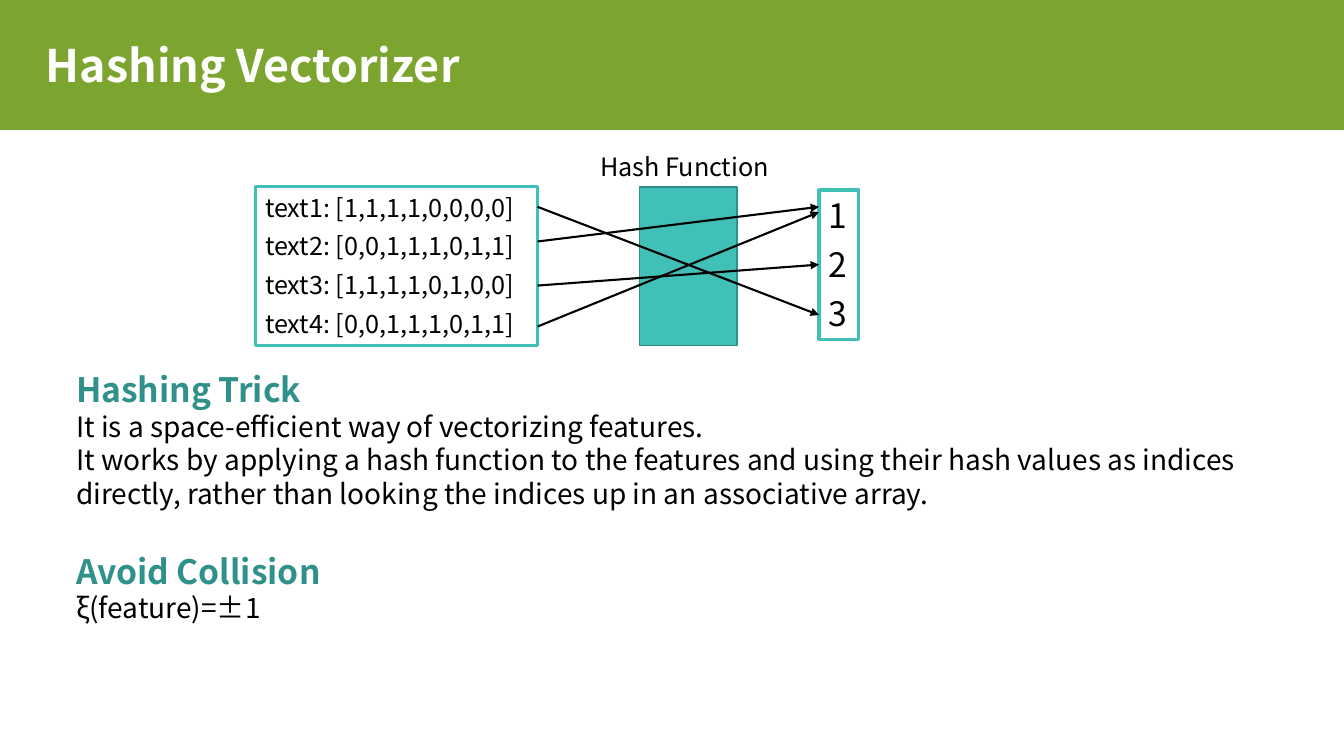
from lxml.etree import SubElement
from pptx import Presentation
from pptx.dml.color import RGBColor
from pptx.enum.shapes import MSO_CONNECTOR, MSO_SHAPE
from pptx.enum.text import MSO_ANCHOR, PP_ALIGN
from pptx.oxml.ns import qn
from pptx.util import Pt

PX = 9525  # 96 px to the inch
FONT = "Noto Sans CJK SC"
GREEN = RGBColor(0x7B, 0xA5, 0x2F)
WHITE = RGBColor(0xFF, 0xFF, 0xFF)
BLACK = RGBColor(0, 0, 0)
TEAL = RGBColor(0x41, 0xC0, 0xB8)
EDGE = RGBColor(0x30, 0x8E, 0x88)
HEAD = RGBColor(0x30, 0x91, 0x8B)

TEXTS = [
    "text1: [1,1,1,1,0,0,0,0]",
    "text2: [0,0,1,1,1,0,1,1]",
    "text3: [1,1,1,1,0,1,0,0]",
    "text4: [0,0,1,1,1,0,1,1]",
]
HASHES = ["1", "2", "3"]
# height where each arrow leaves its text and meets its hash
ARROWS = [(197, 300), (311, 202), (230, 197), (272, 252)]
TRICK = [
    "It is a space-efficient way of vectorizing\u00a0features.",
    "It works by applying a\u00a0hash function\u00a0to the features and using "
    "their hash values as indices directly, rather than looking the indices "
    "up in an\u00a0associative array.",
]


def emu(*sizes):
    return [size * PX for size in sizes]


def style(para, size, color=BLACK, bold=False, before=0, lines=1.0):
    font = para.font
    font.name, font.size, font.bold = FONT, Pt(size), bold
    font.color.rgb = color
    para.alignment = PP_ALIGN.LEFT
    para.space_before = Pt(before)
    para.line_spacing = lines


def write(frame, texts, size, **looks):
    """Append one paragraph per text, reusing an empty first one."""
    frame.word_wrap = True
    for text in texts:
        para = frame.add_paragraph() if frame.text else frame.paragraphs[0]
        para.text = text
        style(para, size, **looks)


def add_box(slide, place, fill, line=None, width=0):
    box = slide.shapes.add_shape(MSO_SHAPE.RECTANGLE, *emu(*place))
    box.shadow.inherit = False
    box.fill.solid()
    box.fill.fore_color.rgb = fill
    if line is None:
        box.line.fill.background()
    else:
        box.line.color.rgb = line
        box.line.width = Pt(width)
    box.text_frame.vertical_anchor = MSO_ANCHOR.TOP
    return box


def add_text(slide, place):
    return slide.shapes.add_textbox(*emu(*place)).text_frame


def add_list(slide, place, texts, size):
    box = add_box(slide, place, WHITE, TEAL, 2.25)
    write(box.text_frame, texts, size, before=6)


def add_arrow(slide, *ends):
    arrow = slide.shapes.add_connector(MSO_CONNECTOR.STRAIGHT, *emu(*ends))
    arrow.line.color.rgb = BLACK
    arrow.line.width = Pt(1.5)
    SubElement(arrow.line._get_or_add_ln(), qn("a:tailEnd"), type="triangle")
    SubElement(arrow._element.spPr, qn("a:effectLst"))


def add_title(slide, text):
    title = slide.shapes.title
    title.left, title.top, title.width, title.height = emu(34, 27, 865, 76)
    title.text_frame.vertical_anchor = MSO_ANCHOR.MIDDLE
    write(title.text_frame, [text], 32, color=WHITE, bold=True,
          before=10, lines=0.9)


def add_notes(slide):
    """Write the two headed passages under the diagram."""
    frame = add_text(slide, (63, 335, 1182, 300))
    write(frame, ["Hashing Trick"], 24, color=HEAD, bold=True, lines=1.3)
    write(frame, TRICK, 20)
    write(frame, ["Avoid Collision"], 24, color=HEAD, bold=True, before=29)
    write(frame, ["ξ(feature)=±1"], 20)


def add_diagram(slide):
    add_list(slide, (243, 178, 269, 151), TEXTS, 18)
    add_list(slide, (780, 181, 38, 142), HASHES, 24)
    add_box(slide, (609, 178, 93, 151), TEAL, EDGE, 1)
    write(add_text(slide, (562, 139, 186, 38)), ["Hash Function"], 18)
    for start, end in ARROWS:
        add_arrow(slide, 512, start, 780, end)


def main():
    deck = Presentation()
    deck.slide_width, deck.slide_height = emu(1280, 720)
    slide = deck.slides.add_slide(deck.slide_layouts[5])
    slide.background.fill.solid()
    slide.background.fill.fore_color.rgb = GREEN
    add_box(slide, (0, 124, 1280, 596), WHITE)
    add_title(slide, "Hashing Vectorizer")
    add_notes(slide)
    add_diagram(slide)
    deck.save("out.pptx")


if __name__ == "__main__":
    main()
